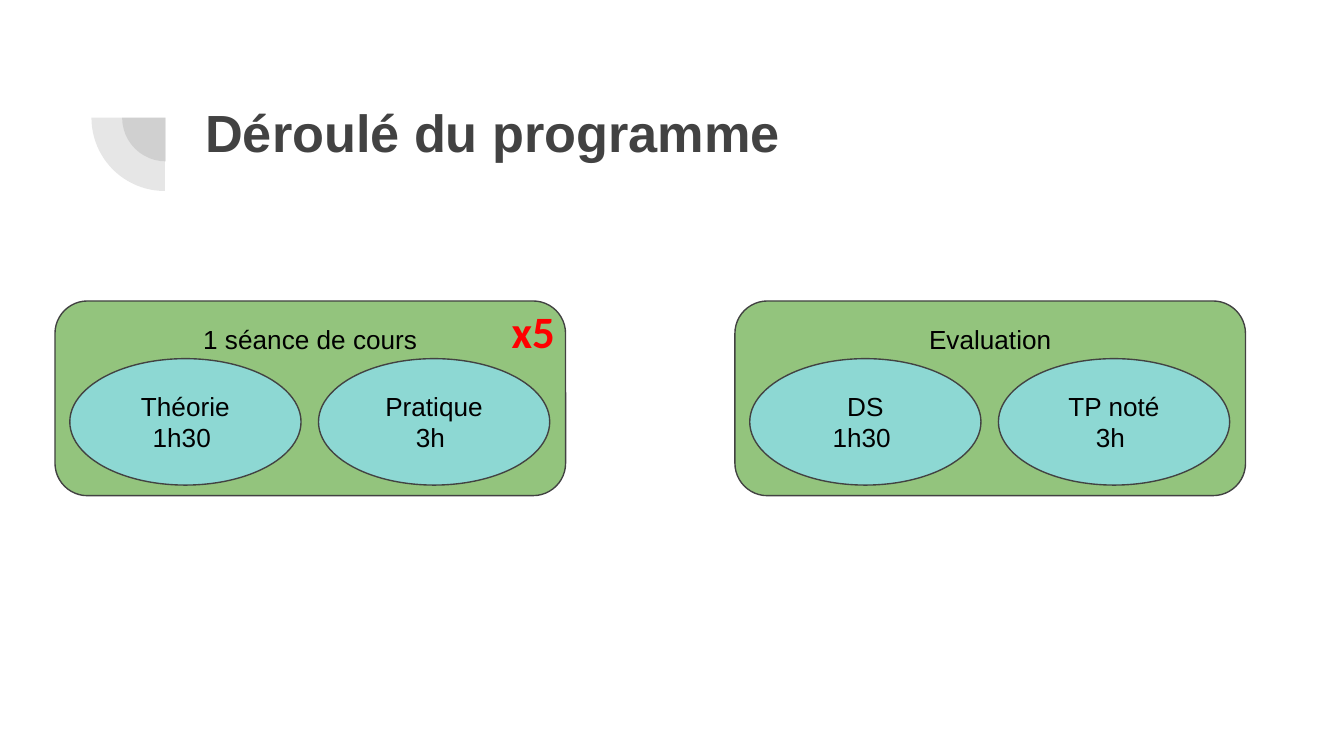
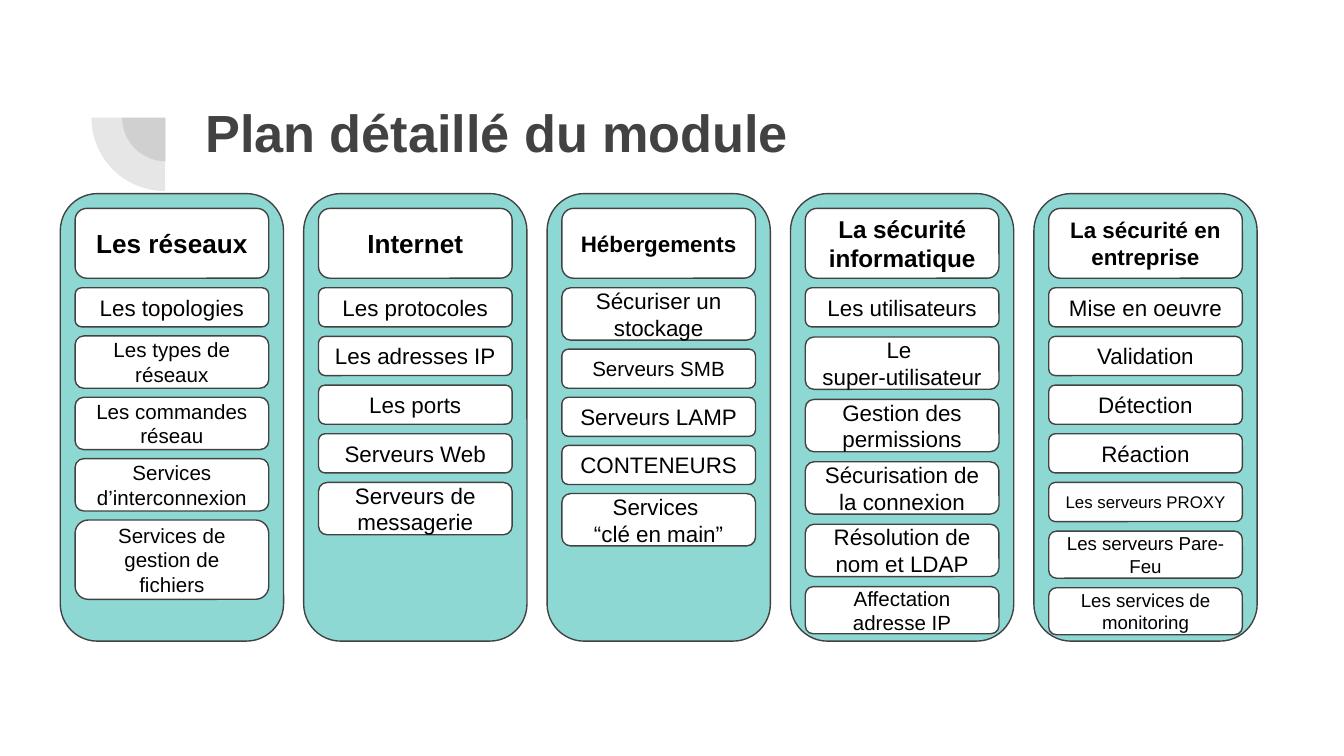
from dataclasses import dataclass

from lxml.etree import SubElement
from pptx import Presentation
from pptx.dml.color import RGBColor as Rgb
from pptx.enum.shapes import MSO_SHAPE as Form
from pptx.enum.text import MSO_ANCHOR as Anchor, MSO_AUTO_SIZE as Fit, PP_ALIGN as Align
from pptx.oxml.ns import qn
from pptx.util import Cm, Pt


@dataclass(frozen=True)
class Theme:
    """Colours, fonts and type sizes shared by the slides."""
    ink: str = "424242"
    text: str = "000000"
    green: str = "93C47D"
    aqua: str = "8DD8D3"
    white: str = "FFFFFF"
    red: str = "FF0000"
    font: str = "Arial"
    accent: str = "Calibri"
    title: int = 28
    badge: int = 24
    body: int = 14
    line: float = 0.75
    inset: float = 0.25
    alpha: int = 13000


T = Theme()

PANELS = [
    ("1 séance de cours", ["Théorie\n1h30 ", "Pratique\n3h "]),
    ("Evaluation", ["DS\n1h30 ", "TP noté\n3h "]),
]

ONE, SNUG, TWO, THREE = 0.74, 0.89, 0.99, 1.5
COLUMNS = [
    ("Les réseaux", 14, 0.17, [
        ("Les topologies", 12, ONE),
        ("Les types de réseaux", 11, TWO),
        ("Les commandes réseau", 11, TWO),
        ("Services d’interconnexion", 11, TWO),
        ("Services de gestion de fichiers", 11, THREE),
    ]),
    ("Internet", 14, 0.18, [
        ("Les protocoles", 12, ONE),
        ("Les adresses IP", 12, ONE),
        ("Les ports", 12, ONE),
        ("Serveurs Web", 12, ONE),
        ("Serveurs de messagerie", 12, TWO),
    ]),
    ("Hébergements", 12, 0.17, [
        ("Sécuriser un stockage", 12, TWO),
        ("Serveurs SMB", 11, ONE),
        ("Serveurs LAMP", 12, ONE),
        ("CONTENEURS", 12, ONE),
        ("Services \n“clé en main”", 12, TWO),
    ]),
    ("La sécurité\ninformatique", 13, 0.19, [
        ("Les utilisateurs", 12, ONE),
        ("Le \nsuper-utilisateur", 12, TWO),
        ("Gestion des permissions", 12, TWO),
        ("Sécurisation de la connexion", 12, TWO),
        ("Résolution de nom et LDAP", 12, TWO),
        ("Affectation adresse IP", 11, SNUG),
    ]),
    ("La sécurité en\nentreprise", 12, 0.18, [
        ("Mise en oeuvre", 12, ONE),
        ("Validation", 12, ONE),
        ("Détection", 12, ONE),
        ("Réaction", 12, ONE),
        ("Les serveurs PROXY", 9, ONE),
        ("Les serveurs Pare-Feu", 10, SNUG),
        ("Les services de monitoring", 10, SNUG),
    ]),
]


def write(shape, text, size=T.body, color=T.text, font=T.font, bold=False,
          align=Align.CENTER, anchor=Anchor.TOP):
    """Put formatted text into a shape, one paragraph per line."""
    frame = shape.text_frame
    frame.text = text
    frame.word_wrap = True
    frame.auto_size = Fit.NONE
    frame.vertical_anchor = anchor
    frame.margin_left = frame.margin_right = Cm(T.inset)
    frame.margin_top = frame.margin_bottom = Cm(T.inset)
    for para in frame.paragraphs:
        para.alignment = align
        for run in para.runs:
            run.font.size = Pt(size)
            run.font.name = font
            run.font.bold = bold
            run.font.color.rgb = Rgb.from_string(color)


def draw(slide, form, box, fill, line=T.ink):
    """Add a flat preset shape in a box given in centimetres."""
    shape = slide.shapes.add_shape(form, *map(Cm, box))
    shape.shadow.inherit = False
    shape.fill.solid()
    shape.fill.fore_color.rgb = Rgb.from_string(fill)
    if line:
        shape.line.color.rgb = Rgb.from_string(line)
        shape.line.width = Pt(T.line)
    else:
        shape.line.fill.background()
    return shape


def place(shape, box):
    """Move a shape to a box given in centimetres."""
    shape.left, shape.top, shape.width, shape.height = map(Cm, box)


def brand(slide, layout):
    """Give the layout its two translucent quarter discs."""
    for left, top, size in [(2.31, 1.4, 1.65), (1.73, 0.84, 2.77)]:
        disc = draw(slide, Form.PIE, (left, top, size, size), T.ink, None)
        disc.adjustments[0], disc.adjustments[1] = 107.928, 162
        disc.rotation = 270
        tint = disc.element.spPr.find(qn("a:solidFill"))[0]
        SubElement(tint, qn("a:alpha"), val=str(T.alpha))
        layout.shapes.element.append(disc.element)


def start(deck, layout, text, high):
    """Add a slide with its title."""
    slide = deck.slides.add_slide(layout)
    place(slide.shapes.title, (3.63, 1.65, 19.53, high))
    write(slide.shapes.title, text, size=T.title, color=T.ink, bold=True, align=Align.LEFT)
    return slide


def panel(slide, box, label, parts):
    """Draw a green panel with a label and two ovals."""
    left, top = box[:2]
    write(draw(slide, Form.ROUNDED_RECTANGLE, box, T.green), label)
    for i, part in enumerate(parts):
        spot = (left + 0.28 + 4.7 * i, top + 1.09, 4.37, 2.39)
        write(draw(slide, Form.OVAL, spot, T.aqua), part)


def badge(slide, box, text):
    """Add a red count over a panel corner."""
    note = slide.shapes.add_textbox(*map(Cm, box))
    write(note, text, size=T.badge, color=T.red, font=T.accent, bold=True, align=Align.LEFT)


def card(slide, box, text, size, bold=False):
    """Draw a white card with centred text."""
    shape = draw(slide, Form.ROUNDED_RECTANGLE, box, T.white)
    write(shape, text, size=size, bold=bold, anchor=Anchor.MIDDLE)


def column(slide, box, head, size, gap, items):
    """Draw a column with a heading card and stacked topic cards."""
    left, top, wide, _ = box
    pad = 0.28
    draw(slide, Form.ROUNDED_RECTANGLE, box, T.aqua)
    card(slide, (left + pad, top + pad, wide - 2 * pad, 1.32), head, size, bold=True)
    y = top + 1.78
    for text, size, high in items:
        card(slide, (left + pad, y, wide - 2 * pad, high), text, size)
        y += high + gap


def agenda(deck, layout):
    """Build the programme slide."""
    slide = start(deck, layout, "Déroulé du programme", 2.77)
    brand(slide, layout)
    for i, (label, parts) in enumerate(PANELS):
        panel(slide, (1.04 + 12.85 * i, 5.69, 9.65, 3.68), label, parts)
    badge(slide, (9.42, 5.49, 1.52, 1.55), "x5")


def plan(deck, layout):
    """Build the detailed module slide."""
    slide = start(deck, layout, "Plan détaillé du module", 1.8)
    for i, data in enumerate(COLUMNS):
        column(slide, (1.14 + 4.6 * i, 3.66, 4.22, 8.46), *data)


def main():
    """Build and save the deck."""
    deck = Presentation()
    deck.slide_width, deck.slide_height = Cm(25.4), Cm(14.29)
    layout = deck.slide_layouts.get_by_name("Title Only")
    agenda(deck, layout)
    plan(deck, layout)
    deck.save("out.pptx")


if __name__ == "__main__":
    main()
